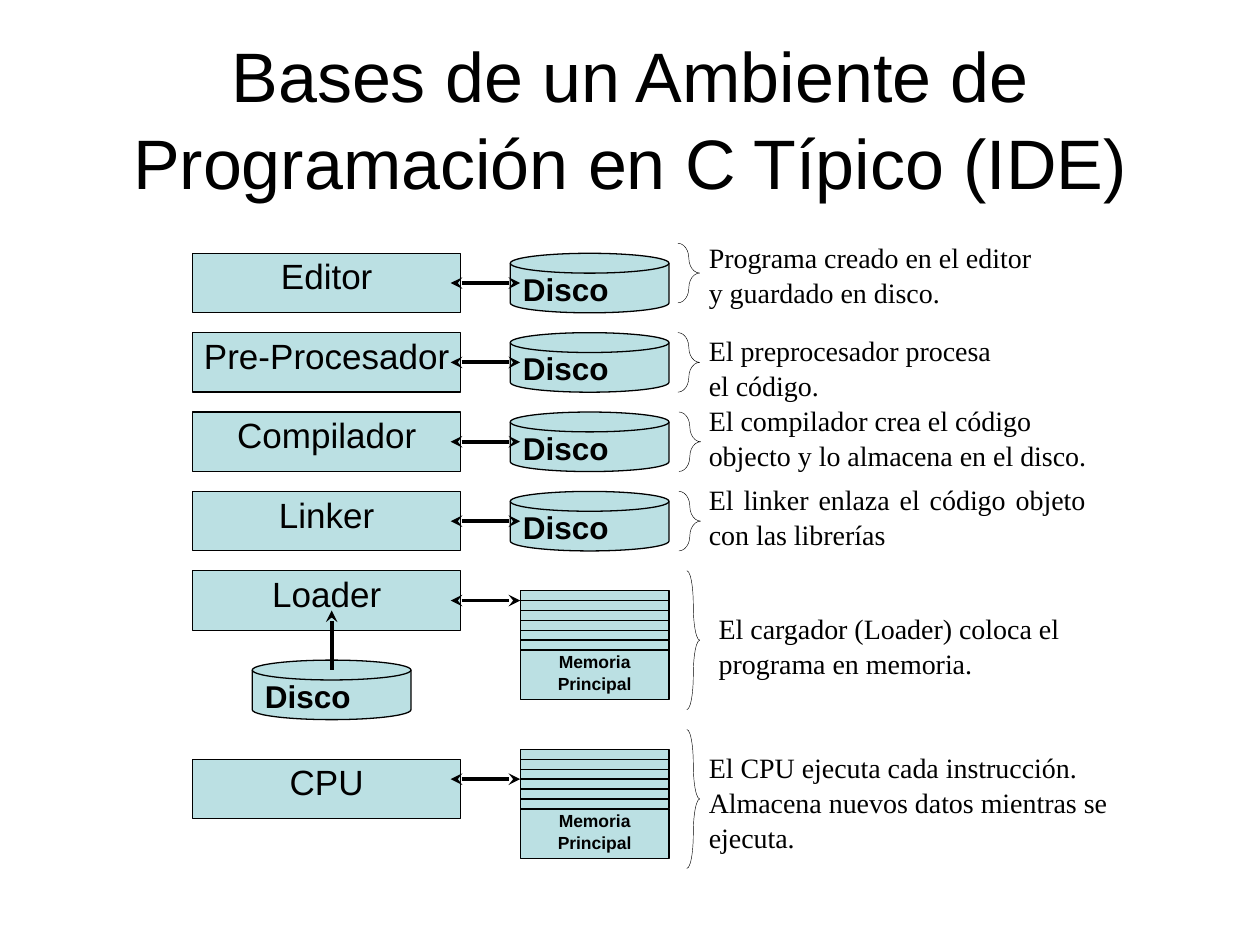
from lxml import etree
from pptx import Presentation
from pptx.dml.color import RGBColor
from pptx.enum.shapes import MSO_CONNECTOR, MSO_SHAPE
from pptx.enum.text import MSO_ANCHOR, MSO_AUTO_SIZE, PP_ALIGN
from pptx.oxml.ns import qn
from pptx.util import Inches, Pt

RECTANGLE = MSO_SHAPE.RECTANGLE
DRUM = MSO_SHAPE.FLOWCHART_DIRECT_ACCESS_STORAGE
BRACE = MSO_SHAPE.RIGHT_BRACE
STRAIGHT = MSO_CONNECTOR.STRAIGHT
LEFT, CENTER, JUSTIFY = PP_ALIGN.LEFT, PP_ALIGN.CENTER, PP_ALIGN.JUSTIFY
TOP, MIDDLE = MSO_ANCHOR.TOP, MSO_ANCHOR.MIDDLE

COLORS = {"ink": "000000", "panel": "BBE0E3", "paper": "FFFFFF"}
SANS, SERIF = "Arial", "Times New Roman"
UNIT = Inches(0.63) / 8
ORIGIN_X, ORIGIN_Y = Inches(1.53), Inches(2.01)
STEP, STAGE_HEIGHT, STAGE_WIDTH = 8, 6, 27
ARROW_X, MEMORY_X, DISK_X, BRACE_X, NOTE_X = 26, 33, 32, 49, 52


class Diagram:
    def __init__(self, deck):
        self.slide = deck.slides.add_slide(deck.slide_layouts[5])
        fill = self.slide.background.fill
        fill.solid()
        fill.fore_color.rgb = self.color("paper")

    def color(self, name):
        return RGBColor.from_string(COLORS[name])

    def place(self, column, row, width, height):
        return (round(ORIGIN_X + column * UNIT), round(ORIGIN_Y + row * UNIT),
                round(width * UNIT), round(height * UNIT))

    def add_text(self, box, lines, size, font=SANS, bold=False, align=CENTER,
                 anchor=TOP, inset=(0, 0), wrap=True):
        frame = box.text_frame
        frame.auto_size = MSO_AUTO_SIZE.NONE
        frame.word_wrap = wrap
        frame.vertical_anchor = anchor
        frame.margin_left = frame.margin_right = Inches(inset[0])
        frame.margin_top = frame.margin_bottom = Inches(inset[1])
        for index, line in enumerate(lines):
            para = frame.add_paragraph() if index else frame.paragraphs[0]
            para.alignment = align
            para.line_spacing = 1.04
            span = para.add_run()
            span.text = line
            span.font.name = font
            span.font.size = Pt(size)
            span.font.bold = bold
            span.font.color.rgb = self.color("ink")

    def title(self, text):
        box = self.slide.shapes.title
        box.left, box.top = Inches(0.5), Inches(0.3)
        box.width, box.height = Inches(9), Inches(1.25)
        self.add_text(box, [text], 40, anchor=MIDDLE, inset=(0.1, 0.05))

    def shape(self, kind, column, row, width, height, line_width=0):
        shape = self.slide.shapes.add_shape(kind, *self.place(column, row, width, height))
        shape.shadow.inherit = False
        shape.fill.solid()
        shape.fill.fore_color.rgb = self.color("panel")
        shape.line.color.rgb = self.color("ink")
        shape.line.width = Pt(line_width)
        return shape

    def stage(self, name, row):
        box = self.shape(RECTANGLE, 0, row, STAGE_WIDTH, STAGE_HEIGHT)
        self.add_text(box, [name], 20)

    def disk(self, column, row, length=16, depth=6):
        turn = (length - depth) / 2
        drum = self.shape(DRUM, column + turn, row - turn, depth, length, 0.75)
        drum.rotation = 270
        self.add_text(drum, ["Disco"], 18, bold=True, anchor=MIDDLE,
                      inset=(0.05, 0.1), wrap=False)
        drum.text_frame._txBody.bodyPr.set("vert", "eaVert")

    def memory(self, row, strips=6):
        for strip in range(strips):
            self.shape(RECTANGLE, MEMORY_X, row + strip, 15, 1)
        body = self.shape(RECTANGLE, MEMORY_X, row + strips, 15, 5)
        self.add_text(body, ["Memoria Principal"], 10, bold=True)

    def arrow(self, start, end, ends):
        x1, y1, *_ = self.place(*start, 0, 0)
        x2, y2, *_ = self.place(*end, 0, 0)
        arrow = self.slide.shapes.add_connector(STRAIGHT, x1, y1, x2, y2)
        arrow.line.color.rgb = self.color("ink")
        arrow.line.width = Pt(2.25)
        properties = arrow._element.spPr
        outline = properties.find(qn("a:ln"))
        for end_name in ends:
            etree.SubElement(outline, qn(f"a:{end_name}")).set("type", "stealth")
        etree.SubElement(properties, qn("a:effectLst"))

    def brace(self, column, row, width, height):
        brace = self.shape(BRACE, column, row, width, height, 0.25)
        brace.fill.background()
        brace.adjustments[0] = height / (4 * width)

    def note(self, column, row, width, height, align, lines):
        box = self.slide.shapes.add_textbox(*self.place(column, row, width, height))
        self.add_text(box, lines, 16, font=SERIF, align=align)


def main():
    deck = Presentation()
    deck.slide_width, deck.slide_height = Inches(10), Inches(7.5)
    diagram = Diagram(deck)
    diagram.title("Bases de un Ambiente de Programación en C Típico (IDE)")

    disk_stages = ["Editor", "Pre-Procesador", "Compilador", "Linker"]
    stages = [(name, index * STEP) for index, name in enumerate(disk_stages)]
    memory_stages = [("Loader", 32, 34), ("CPU", 51, 50)]

    for name, row in stages:
        diagram.stage(name, row)
        diagram.disk(DISK_X, row)
    for name, row, memory_row in memory_stages:
        diagram.stage(name, row)
        diagram.memory(memory_row)
    diagram.disk(6, 41)

    for row in [row for _, row in stages] + [row for _, row, _ in memory_stages]:
        middle = row + (STAGE_HEIGHT / 2 if row < 51 else 2)
        middle = middle if row != 32 else 35
        diagram.arrow((ARROW_X, middle), (MEMORY_X, middle), ["headEnd", "tailEnd"])
    diagram.arrow((14, 42), (14, 36), ["tailEnd"])

    for column, row in [(48.9, -1), (48.9, 8), (BRACE_X, 16), (BRACE_X, 24)]:
        diagram.brace(column, row, 2.2, STAGE_HEIGHT)
    for row in (32, 48):
        diagram.brace(49.8, row, 1.3, 14)

    notes = [
        (NOTE_X, -1.4, 34, 7.4, LEFT, ["Programa creado en el editor y guardado en disco."]),
        (NOTE_X, 8, 32, 6, JUSTIFY, ["El preprocesador procesa", "el código."]),
        (NOTE_X, 15, 39, 7, LEFT,
         ["El compilador crea el código objecto y lo almacena en el disco."]),
        (NOTE_X, 23, 38, 7, JUSTIFY, ["El linker enlaza el código objeto con las librerías"]),
        (NOTE_X + 1, 36, 35, 7, LEFT, ["El cargador (Loader) coloca el programa en memoria."]),
        (NOTE_X, 50, 41, 10, LEFT,
         ["El CPU ejecuta cada instrucción.", "Almacena nuevos datos mientras se ejecuta."]),
    ]
    for note in notes:
        diagram.note(*note)
    deck.save("out.pptx")


if __name__ == "__main__":
    main()
